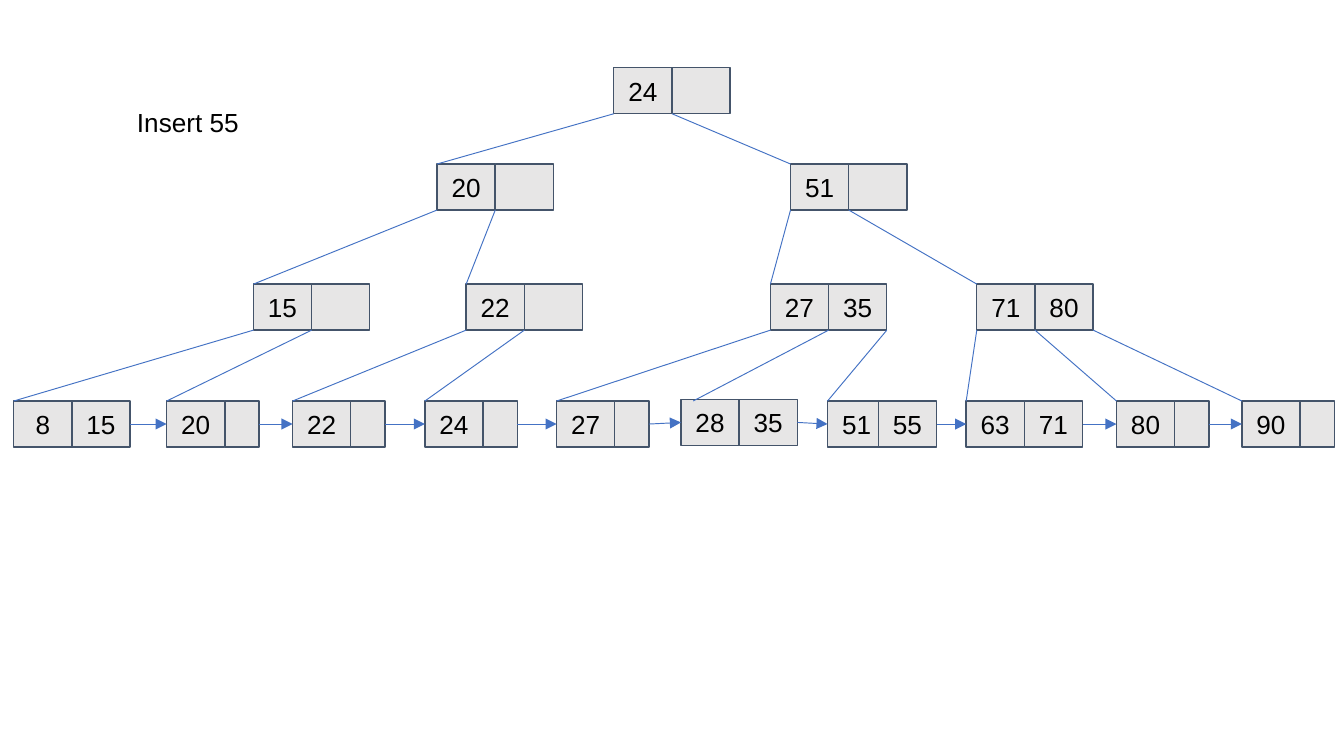
from itertools import pairwise

from lxml.etree import SubElement
from pptx import Presentation
from pptx.dml.color import RGBColor
from pptx.enum.shapes import MSO_CONNECTOR as Connector, MSO_SHAPE as Shape
from pptx.enum.text import MSO_ANCHOR as Anchor, PP_ALIGN as Align
from pptx.oxml.ns import qn
from pptx.util import Cm, Pt

COLORS = {"cell": "E7E6E6", "border": "44546A", "link": "4472C4", "text": "000000"}

# All lengths are in centimetres.
CELL_WIDTH, NARROW_WIDTH, CELL_HEIGHT = 1.1, 0.65, 0.87
LEVEL_TOPS = [1.28, 3.1, 5.37, 7.58]
LEAF_LEVEL = len(LEVEL_TOPS) - 1

# Each level holds (left, keys, number of children); None is a free place.
LEVELS = [
    [(11.6, (24, None), 2)],
    [(8.26, (20, None), 2), (14.94, (51, None), 2)],
    [
        (4.79, (15, None), 2),
        (8.81, (22, None), 2),
        (14.56, (27, 35), 3),
        (18.46, (71, 80), 3),
    ],
    [
        (0.26, (8, 15), 0),
        (3.15, (20, None), 0),
        (5.53, (22, None), 0),
        (8.03, (24, None), 0),
        (10.52, (27, None), 0),
        (12.87, (28, 35), 0),
        (15.64, (51, 55), 0),
        (18.26, (63, 71), 0),
        (21.1, (80, None), 0),
        (23.47, (90, None), 0),
    ],
]
# Leaves that sit slightly off the regular layout, by keys.
TOP_SHIFTS = {(28, 35): -0.03}
KEY_STEPS = {(51, 55): 0.96}
LINK_SHIFTS = {(28, 35): 0.23}


def set_text(shape, text, align=Align.LEFT, anchor=Anchor.TOP, margin=None, size=14):
    frame = shape.text_frame
    frame.vertical_anchor = anchor
    if margin is not None:
        frame.margin_left = frame.margin_right = Cm(margin)
        frame.margin_top = frame.margin_bottom = Cm(margin)
    paragraph = frame.paragraphs[0]
    paragraph.alignment = align
    run = paragraph.add_run()
    run.text = text
    run.font.name = "Arial"
    run.font.size = Pt(size)
    run.font.color.rgb = RGBColor.from_string(COLORS["text"])


def add_cell(slide, left, top, width, key):
    cell = slide.shapes.add_shape(
        Shape.RECTANGLE, Cm(left), Cm(top), Cm(width), Cm(CELL_HEIGHT)
    )
    cell.shadow.inherit = False
    cell.fill.solid()
    cell.fill.fore_color.rgb = RGBColor.from_string(COLORS["cell"])
    cell.line.color.rgb = RGBColor.from_string(COLORS["border"])
    cell.line.width = Pt(0.75)
    if key is not None:
        set_text(cell, str(key), align=Align.CENTER, anchor=Anchor.MIDDLE, margin=0.25)
    return cell


def add_node(slide, level, left, keys):
    top = LEVEL_TOPS[level] + TOP_SHIFTS.get(keys, 0)
    step = KEY_STEPS.get(keys, CELL_WIDTH)
    cells = []
    for index, key in enumerate(keys):
        narrow = level == LEAF_LEVEL and key is None
        width = NARROW_WIDTH if narrow else CELL_WIDTH
        cells.append(add_cell(slide, left + index * step, top, width, key))
    return cells


def add_link(slide, start=(0, 0), end=(0, 0)):
    link = slide.shapes.add_connector(
        Connector.STRAIGHT, *(Cm(value) for value in (*start, *end))
    )
    link.line.color.rgb = RGBColor.from_string(COLORS["link"])
    link.line.width = Pt(0.5)
    SubElement(link._element.spPr, qn("a:effectLst"))
    return link


def add_arrow(slide, source, target):
    """Point from the right side of one cell to the left side of another."""
    arrow = add_link(slide)
    arrow.begin_connect(source, 3)
    arrow.end_connect(target, 1)
    SubElement(arrow.line._get_or_add_ln(), qn("a:tailEnd"), type="triangle")


def add_child_links(slide, level):
    """Join each pointer of a level's nodes to the next child below."""
    children = iter(LEVELS[level + 1])
    bottom = LEVEL_TOPS[level] + CELL_HEIGHT
    for left, _, child_count in LEVELS[level]:
        for index in range(child_count):
            child_left, child_keys, _ = next(children)
            end_x = child_left + LINK_SHIFTS.get(child_keys, 0)
            add_link(
                slide,
                (left + index * CELL_WIDTH, bottom),
                (end_x, LEVEL_TOPS[level + 1]),
            )


def main():
    presentation = Presentation()
    presentation.slide_width, presentation.slide_height = Cm(25.4), Cm(14.29)
    slide = presentation.slides.add_slide(presentation.slide_layouts[6])

    caption = slide.shapes.add_textbox(Cm(2.34), Cm(1.88), Cm(2.44), Cm(0.87))
    set_text(caption, "Insert 55")

    nodes = [
        [add_node(slide, level, left, keys) for left, keys, _ in row]
        for level, row in enumerate(LEVELS)
    ]
    for level in range(LEAF_LEVEL):
        add_child_links(slide, level)
    for leaf, next_leaf in pairwise(nodes[LEAF_LEVEL]):
        add_arrow(slide, leaf[-1], next_leaf[0])

    presentation.save("out.pptx")


if __name__ == "__main__":
    main()
